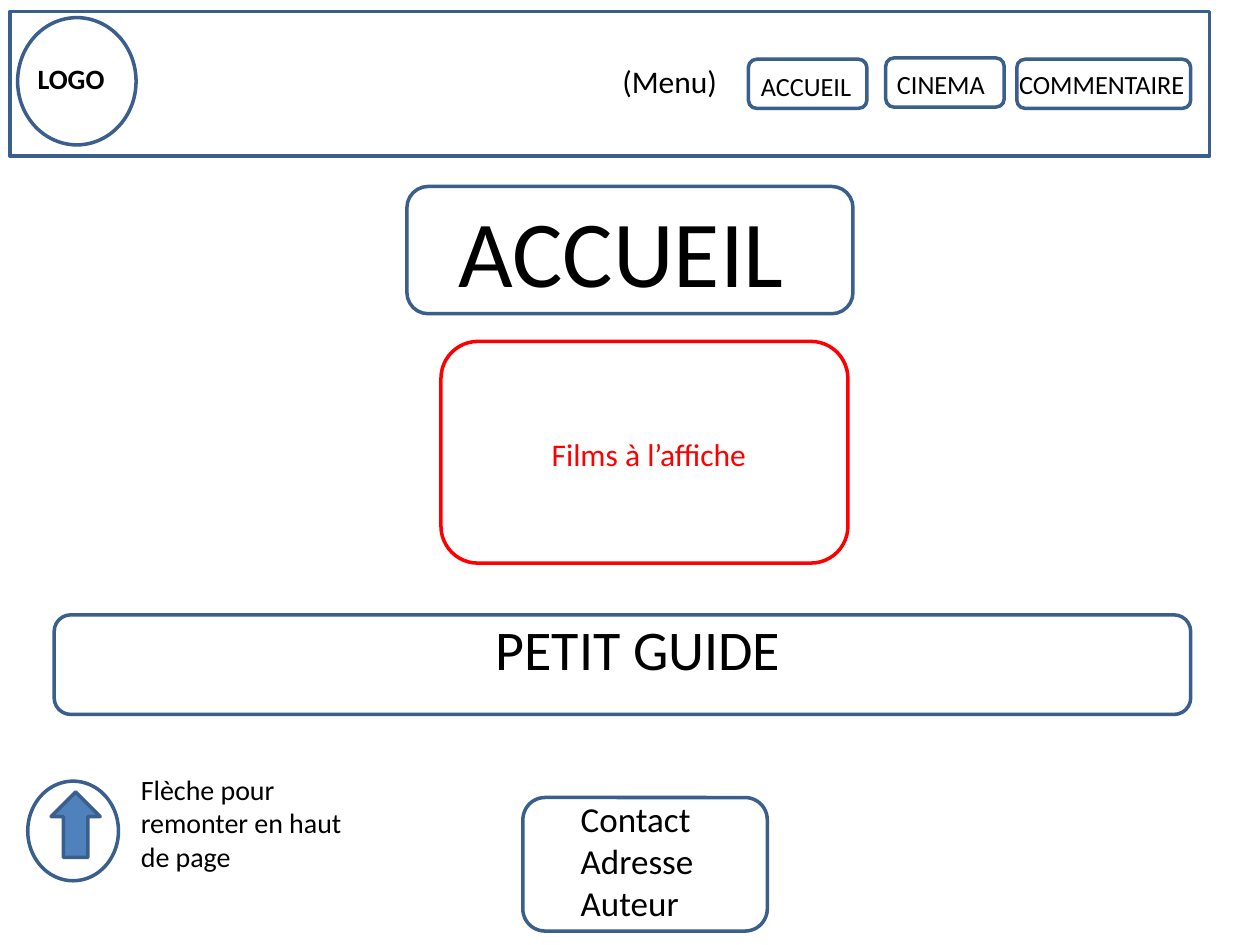
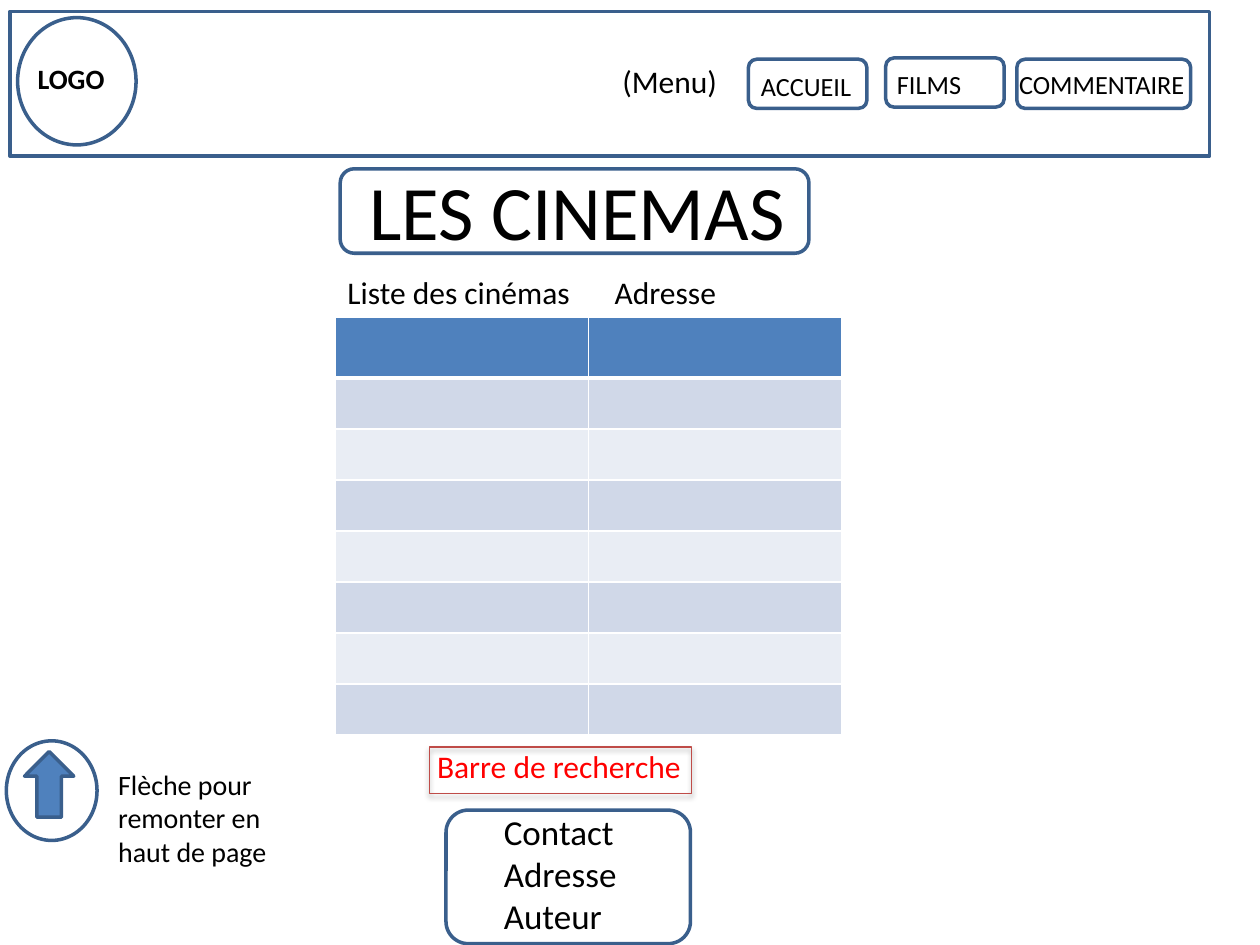
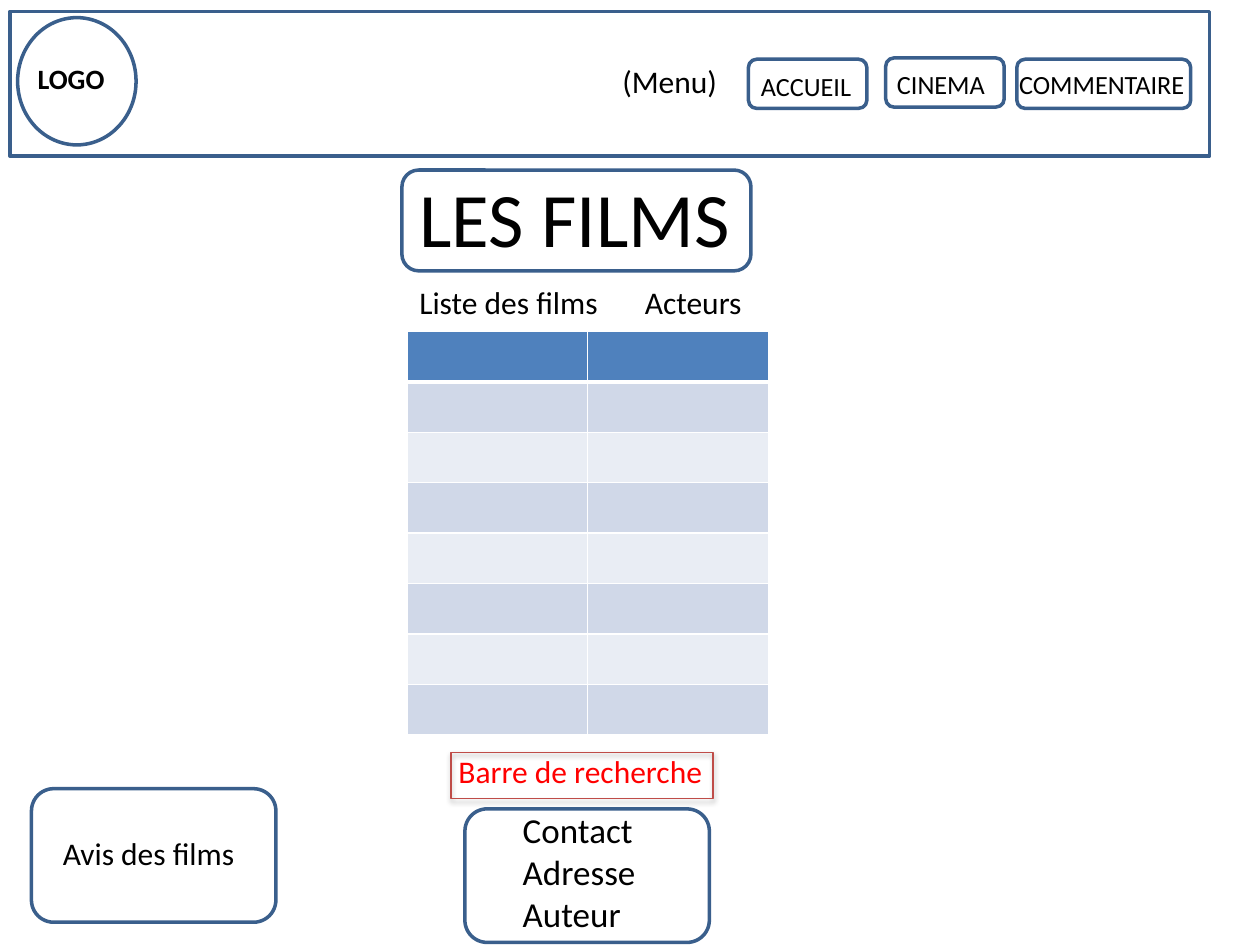
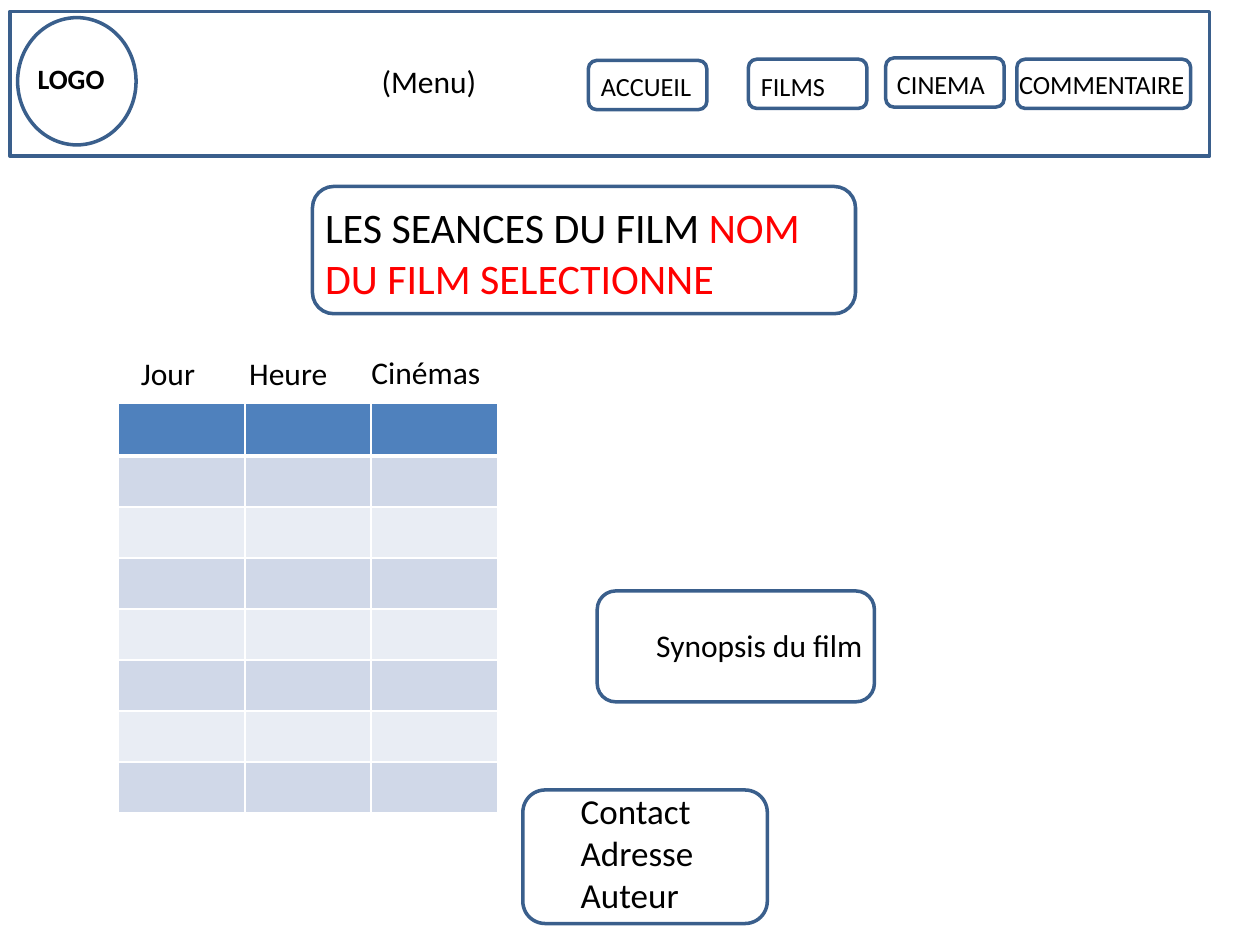
import dataclasses
import typing

import lxml.etree
import pptx
import pptx.dml.color
import pptx.enum.shapes
import pptx.enum.text
import pptx.oxml.ns
import pptx.util

COLORS = {
    "text": "000000",
    "outline": "3A5F8C",
    "accent": "4F81BD",
    "alert": "FF0000",
    "search": "BF4C48",
    "band_dark": "D0D8E8",
    "band_light": "E9EDF4",
    "border": "FFFFFF",
}
FONT = "Calibri"
COLUMNS, ROWS = 100, 75
SHAPES = pptx.enum.shapes.MSO_SHAPE
AUTO_SIZE = pptx.enum.text.MSO_AUTO_SIZE
ALIGN = pptx.enum.text.PP_ALIGN

prs = pptx.Presentation()
prs.slide_width = pptx.util.Inches(10)
prs.slide_height = pptx.util.Inches(7.5)


class Box(typing.NamedTuple):
    """Place and size in grid columns and rows."""
    x: float
    y: float
    w: float
    h: float


class Span(typing.NamedTuple):
    """Piece of text in one colour."""
    text: str
    color: str = "text"


@dataclasses.dataclass(frozen=True)
class Button:
    """Menu slot: its outline and the place of its label."""
    box: Box
    label: Box


@dataclasses.dataclass(frozen=True)
class Page:
    """What varies in the title and menu of a page."""
    title: tuple[Span, ...]
    title_at: Box
    title_frame: Box
    title_size: float
    buttons: tuple[str, ...]
    menu_x: float = 48.4


@dataclasses.dataclass(frozen=True)
class Listing:
    """Empty table with captions standing above its columns."""
    x: float
    y: float
    column_w: float
    head_h: float
    row_h: float
    captions: tuple[tuple[str, Box], ...]


BUTTONS = (
    Button(Box(46.7, 4.8, 9.4, 3.9), Box(46.7, 5.1, 11.8, 3.5)),
    Button(Box(59.4, 4.7, 9.4, 3.9), Box(59.4, 5.1, 11.8, 3.5)),
    Button(Box(70.3, 4.6, 9.4, 3.9), Box(70.2, 4.9, 11.8, 3.5)),
    Button(Box(80.7, 4.7, 13.8, 3.9), Box(79.9, 4.9, 17.3, 3.5)),
)


def rgb(name: str) -> pptx.dml.color.RGBColor:
    """Look up a palette colour."""
    return pptx.dml.color.RGBColor.from_string(COLORS[name])


def emu(box: Box) -> tuple[int, ...]:
    """Turn grid units into slide lengths."""
    across, down = prs.slide_width / COLUMNS, prs.slide_height / ROWS
    return tuple(round(v * unit) for v, unit in zip(box, (across, down) * 2))


def sub(parent, tag: str, **attrs):
    """Append a DrawingML element."""
    return lxml.etree.SubElement(parent, pptx.oxml.ns.qn(tag), attrs)


def add_outline(s, box: Box, kind=SHAPES.ROUNDED_RECTANGLE, color: str = "outline",
                width: float = 2, fill: str = ""):
    """Draw a preset shape, hollow unless a fill is named."""
    sp = s.shapes.add_shape(kind, *emu(box))
    sp.shadow.inherit = False
    sp.line.color.rgb = rgb(color)
    sp.line.width = pptx.util.Pt(width)
    if fill:
        sp.fill.solid()
        sp.fill.fore_color.rgb = rgb(fill)
    else:
        sp.fill.background()
    return sp


def write(sp, lines: typing.Sequence[typing.Sequence[Span]], size: float,
          bold: bool = False, align=ALIGN.LEFT, wrap: bool = True) -> None:
    """Fill a text frame, one paragraph per line."""
    tf = sp.text_frame
    tf.word_wrap = wrap
    tf.auto_size = AUTO_SIZE.SHAPE_TO_FIT_TEXT
    tf.vertical_anchor = pptx.enum.text.MSO_ANCHOR.TOP
    for i, line in enumerate(lines):
        p = tf.add_paragraph() if i else tf.paragraphs[0]
        p.alignment = align
        for span in line:
            r = p.add_run()
            r.text = span.text
            r.font.name = FONT
            r.font.size = pptx.util.Pt(size)
            r.font.bold = bold
            r.font.color.rgb = rgb(span.color)


def add_text(s, box: Box, text: str, size: float = 18, color: str = "text", **style) -> None:
    """Add a text box in a single colour."""
    lines = [[Span(line, color)] for line in text.split("\n")]
    write(s.shapes.add_textbox(*emu(box)), lines, size, **style)


def add_page(page: Page):
    """Add a slide with its header band, menu and title."""
    s = prs.slides.add_slide(prs.slide_layouts.get_by_name("Title Only"))
    title = s.shapes.title
    title.left, title.top, title.width, title.height = emu(page.title_at)
    write(title, [page.title], page.title_size)
    add_outline(s, page.title_frame)
    add_outline(s, Box(0.8, 0.9, 95.2, 11.5), SHAPES.RECTANGLE)
    add_outline(s, Box(1.4, 1.4, 9.4, 10.1), SHAPES.OVAL)
    add_text(s, Box(2, 4.4, 8.9, 3.7), "LOGO", 16, bold=True)
    add_text(s, Box(page.menu_x, 4.4, 13.8, 4), "(Menu)")
    for button, label in zip(BUTTONS[-len(page.buttons):], page.buttons):
        add_outline(s, button.box)
        add_text(s, button.label, label, 15)
    return s


def add_contact(s, x: float, y: float) -> None:
    """Add the contact block."""
    add_outline(s, Box(x, y, 19.4, 10.6))
    add_text(s, Box(x + 3.6, y - 0.5, 50.2, 11.1), "Contact\nAdresse\nAuteur", 20)


def add_back_to_top(s, circle: tuple[float, float], arrow: tuple[float, float], note: Box) -> None:
    """Add the circled arrow and its note."""
    add_outline(s, Box(*circle, 7.2, 7.9), SHAPES.OVAL)
    add_outline(s, Box(*arrow, 5.2, 3.9), SHAPES.RIGHT_ARROW, fill="accent").rotation = 270
    add_text(s, note, "Flèche pour remonter en haut de page", 16)


def add_search(s, x: float, y: float) -> None:
    """Add the search bar with its soft shadow."""
    sp = add_outline(s, Box(x, y, 20.8, 3.7), SHAPES.RECTANGLE, "search", 0.75)
    effects = sp._element.spPr.find(pptx.oxml.ns.qn("a:effectLst"))
    shadow = sub(effects, "a:outerShdw", blurRad=str(pptx.util.Pt(3.1)),
                 dist=str(pptx.util.Pt(1.8)), dir="5400000", rotWithShape="0")
    sub(sub(shadow, "a:srgbClr", val=COLORS["text"]), "a:alpha", val="35000")
    add_text(s, Box(x - 0.4, y - 0.5, 21.8, 4), "Barre de recherche", color="alert")


def style_cell(cell, row: int) -> None:
    """Give a cell its borders and band colour."""
    tc_pr = cell._tc.get_or_add_tcPr()
    widths = {"L": 1, "R": 1, "T": 3 if row == 1 else 1, "B": 1 if row else 3}
    for side, width in widths.items():
        ln = sub(tc_pr, f"a:ln{side}", w=str(pptx.util.Pt(width)))
        sub(sub(ln, "a:solidFill"), "a:srgbClr", val=COLORS["border"])
    cell.fill.solid()
    band = "band_dark" if row % 2 else "band_light"
    cell.fill.fore_color.rgb = rgb(band if row else "accent")


def add_listing(s, listing: Listing, body_rows: int = 7) -> None:
    """Add a banded table and its captions."""
    count = len(listing.captions)
    heights = [listing.head_h] + [listing.row_h] * body_rows
    box = Box(listing.x, listing.y, listing.column_w * count, sum(heights))
    table = s.shapes.add_table(len(heights), count, *emu(box)).table
    for i, height in enumerate(heights):
        table.rows[i].height = emu(Box(0, 0, 0, height))[3]
        for cell in table.rows[i].cells:
            style_cell(cell, i)
    for caption, place in listing.captions:
        add_text(s, place, caption)


def build_home() -> None:
    """Build the home page."""
    s = add_page(Page((Span("ACCUEIL"),), Box(35.4, 14.8, 81.1, 10.1),
                      Box(32.3, 14.8, 35.4, 10.1), 54, ("ACCUEIL", "CINEMA", "COMMENTAIRE")))
    add_outline(s, Box(35, 27.1, 32.3, 17.6), color="alert")
    add_text(s, Box(42.8, 34, 28.3, 4), "Films à l’affiche", color="alert")
    add_outline(s, Box(4.3, 48.8, 90.2, 7.9))
    add_text(s, Box(10.1, 48.3, 81.1, 6.4), "PETIT GUIDE", 32, align=ALIGN.CENTER)
    add_back_to_top(s, (2.2, 62), (3.4, 63.5), Box(10.2, 60.8, 19.4, 9.1))
    add_contact(s, 41.5, 63.3)


def build_cinemas() -> None:
    """Build the cinema list page."""
    s = add_page(Page((Span("LES CINEMAS"),), Box(28.3, 12.5, 81.1, 8.4),
                      Box(27, 13.4, 37.2, 6.7), 44, ("ACCUEIL", "FILMS", "COMMENTAIRE")))
    add_listing(s, Listing(26.6, 25.2, 20.1, 4.8, 4.05, (
        ("Liste des cinémas", Box(26.6, 21.2, 21.3, 4)),
        ("Adresse", Box(47.8, 21.2, 18.5, 4)))))
    add_back_to_top(s, (0.5, 58.8), (1.3, 60.3), Box(8.4, 60.4, 15.7, 9.1))
    add_search(s, 34.1, 59.3)
    add_contact(s, 35.4, 64.3)


def build_films() -> None:
    """Build the film list page."""
    s = add_page(Page((Span("LES FILMS"),), Box(32.3, 13, 81.1, 8.4),
                      Box(31.9, 13.5, 27.7, 8), 44, ("ACCUEIL", "CINEMA", "COMMENTAIRE")))
    add_listing(s, Listing(32.3, 26.3, 14.35, 4, 4, (
        ("Liste des films", Box(32.3, 22, 21.3, 4)),
        ("Acteurs", Box(50.2, 22, 21.6, 4)))))
    add_outline(s, Box(2.5, 62.6, 19.4, 10.6))
    add_text(s, Box(4, 65.7, 21.6, 4), "Avis des films")
    add_search(s, 35.8, 59.7)
    add_contact(s, 36.9, 64.2)


def build_screenings() -> None:
    """Build the screenings page."""
    title = (Span("LES SEANCES DU FILM "), Span("NOM DU FILM SELECTIONNE", "alert"))
    s = add_page(Page(title, Box(24.8, 15.5, 42.5, 9.1), Box(24.8, 14.8, 43.1, 10.1), 24,
                      ("ACCUEIL", "FILMS", "CINEMA", "COMMENTAIRE"), 29.3))
    add_listing(s, Listing(9.4, 32, 10.03, 4.2, 4.05, (
        ("Jour", Box(10.2, 27.6, 21.6, 4)),
        ("Heure", Box(18.8, 27.6, 21.6, 4)),
        ("Cinémas", Box(28.5, 27.5, 21.6, 4)))))
    add_outline(s, Box(47.4, 46.9, 22, 8.8))
    add_text(s, Box(51.1, 49.2, 18.6, 4), "Synopsis du film", wrap=False)
    add_contact(s, 41.5, 62.7)


def main() -> None:
    """Build every page and save the deck."""
    for build in (build_home, build_cinemas, build_films, build_screenings):
        build()
    prs.save("out.pptx")


if __name__ == "__main__":
    main()
